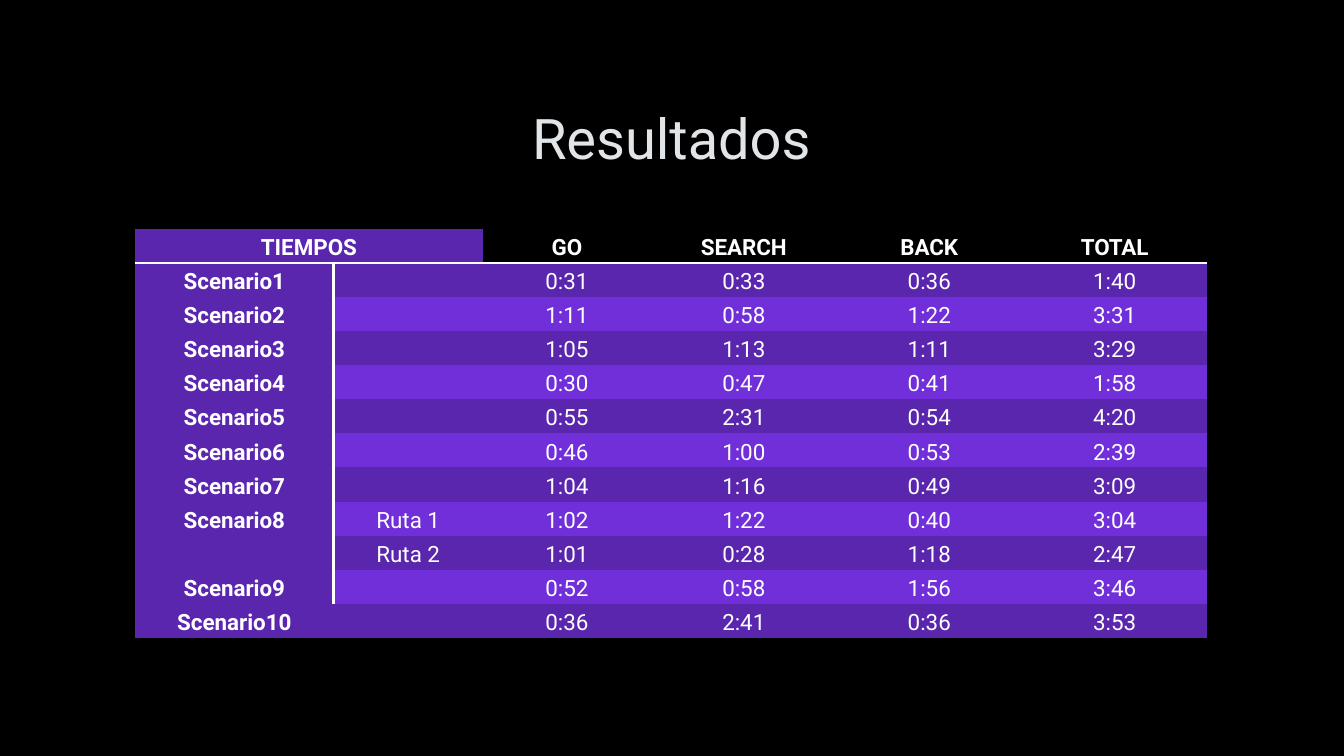
from lxml import etree
from pptx import Presentation
from pptx.dml.color import RGBColor
from pptx.enum.text import MSO_ANCHOR, PP_ALIGN
from pptx.oxml.ns import qn
from pptx.util import Pt

MIDDLE = MSO_ANCHOR.MIDDLE
CENTER = PP_ALIGN.CENTER

FONT = "Roboto"
BLACK, WHITE = "000000", "FFFFFF"
DARK_PURPLE, LIGHT_PURPLE = "5A26AE", "702FD9"
TITLE_GREY, TITLE_EDGE = "E2E5E8", "404040"
NO_TABLE_STYLE = "{2D5ABB26-0587-4C30-8999-92F81FD0307C}"

COLUMN_WIDTHS = [141.84, 106.56, 120.24, 132.48, 132.48, 132.48]
TIMES = [
    ["TIEMPOS", "", "GO", "SEARCH", "BACK", "TOTAL"],
    ["Scenario1", "", "0:31", "0:33", "0:36", "1:40"],
    ["Scenario2", "", "1:11", "0:58", "1:22", "3:31"],
    ["Scenario3", "", "1:05", "1:13", "1:11", "3:29"],
    ["Scenario4", "", "0:30", "0:47", "0:41", "1:58"],
    ["Scenario5", "", "0:55", "2:31", "0:54", "4:20"],
    ["Scenario6", "", "0:46", "1:00", "0:53", "2:39"],
    ["Scenario7", "", "1:04", "1:16", "0:49", "3:09"],
    ["Scenario8", "Ruta 1", "1:02", "1:22", "0:40", "3:04"],
    ["", "Ruta 2", "1:01", "0:28", "1:18", "2:47"],
    ["Scenario9", "", "0:52", "0:58", "1:56", "3:46"],
    ["Scenario10", "", "0:36", "2:41", "0:36", "3:53"],
]


def rgb(color):
    return RGBColor.from_string(color)


def add_run(paragraph, text, size, color, bold=False):
    run = paragraph.add_run()
    run.text = text
    run.font.name = FONT
    run.font.size = Pt(size)
    run.font.bold = bold
    run.font.color.rgb = rgb(color)
    return run


def add_line(parent, tag, width, color):
    """Append a solid line element and return its colour element."""
    line = etree.SubElement(parent, qn(tag), w=str(Pt(width)))
    fill = etree.SubElement(line, qn("a:solidFill"))
    return etree.SubElement(fill, qn("a:srgbClr"), val=color)


def add_title(slide, left, top, width, height):
    box = slide.shapes.add_textbox(Pt(left), Pt(top), Pt(width), Pt(height))
    frame = box.text_frame
    frame.word_wrap = True
    frame.vertical_anchor = MIDDLE
    heading = frame.paragraphs[0]
    heading.alignment = CENTER
    run = add_run(heading, "Resultados", 40, TITLE_GREY)
    properties = run.font.fill._xPr
    edge = add_line(properties, "a:ln", 0.75, TITLE_EDGE)
    etree.SubElement(edge, qn("a:alpha"), val="10000")
    properties.insert(0, properties[-1])


def cell_fill(row, column):
    if row == 0:
        return DARK_PURPLE if column < 2 else BLACK
    if column == 0 or row % 2:
        return DARK_PURPLE
    return LIGHT_PURPLE


def style_cell(cell, text, row, column):
    cell.margin_left = cell.margin_right = Pt(5)
    cell.margin_top = cell.margin_bottom = 0
    cell.vertical_anchor = MIDDLE
    properties = cell._tc.get_or_add_tcPr()
    if column == 0 and 0 < row < len(TIMES) - 1:
        add_line(properties, "a:lnR", 2, WHITE)
    if row == 0:
        add_line(properties, "a:lnB", 2, WHITE)
    cell.fill.solid()
    cell.fill.fore_color.rgb = rgb(cell_fill(row, column))
    if text:
        paragraph = cell.text_frame.paragraphs[0]
        paragraph.alignment = CENTER
        paragraph.line_spacing = 1.15
        add_run(paragraph, text, 16, WHITE, bold=row == 0 or column == 0)


def add_times_table(slide, left, top, width, height):
    frame = slide.shapes.add_table(len(TIMES), len(COLUMN_WIDTHS),
                                   Pt(left), Pt(top), Pt(width), Pt(height))
    for style in frame.element.iter(qn("a:tableStyleId")):
        style.text = NO_TABLE_STYLE
    table = frame.table
    for column, column_width in zip(table.columns, COLUMN_WIDTHS):
        column.width = Pt(column_width)
    for row, values in enumerate(TIMES):
        table.rows[row].height = Pt(height / len(TIMES))
        for column, text in enumerate(values):
            style_cell(table.cell(row, column), text, row, column)
    table.cell(0, 0).merge(table.cell(0, 1))


def main():
    deck = Presentation()
    deck.slide_width, deck.slide_height = Pt(960), Pt(540)
    slide = deck.slides.add_slide(deck.slide_layouts[6])
    background = slide.background.fill
    background.solid()
    background.fore_color.rgb = rgb(BLACK)
    add_title(slide, 72, 48.24, 815, 99.36)
    add_times_table(slide, 96.48, 163.44, sum(COLUMN_WIDTHS), 292.32)
    deck.save("out.pptx")


if __name__ == "__main__":
    main()
